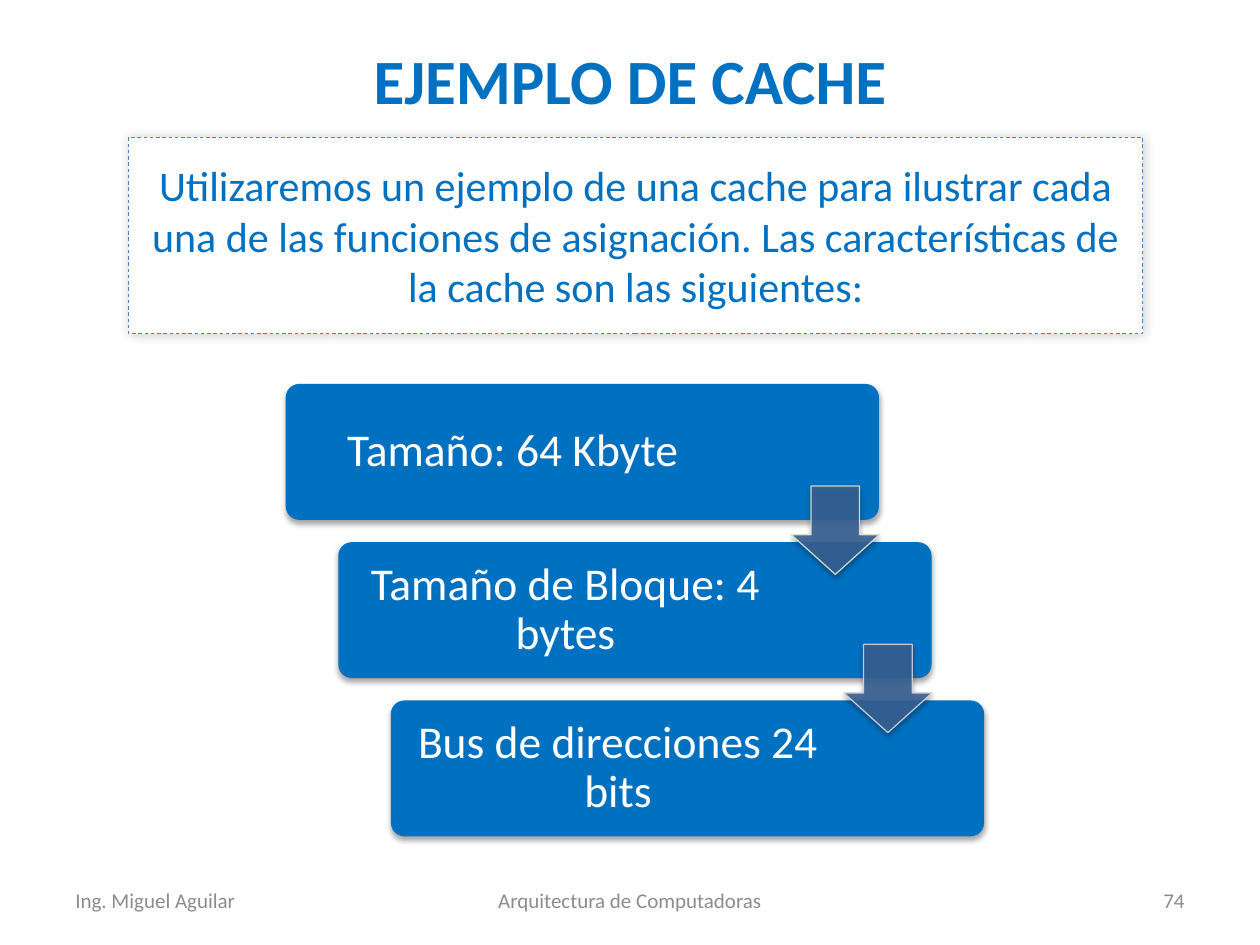
from lxml import etree
from pptx import Presentation
from pptx.dml.color import RGBColor
from pptx.enum.dml import MSO_LINE
from pptx.enum.shapes import MSO_SHAPE
from pptx.enum.text import MSO_ANCHOR, PP_ALIGN
from pptx.oxml.ns import qn
from pptx.util import Cm, Pt

RECTANGLE = MSO_SHAPE.RECTANGLE
ROUNDED = MSO_SHAPE.ROUNDED_RECTANGLE
DOWN_ARROW = MSO_SHAPE.DOWN_ARROW
DASH = MSO_LINE.DASH
MIDDLE = MSO_ANCHOR.MIDDLE
LEFT, CENTER, RIGHT = PP_ALIGN.LEFT, PP_ALIGN.CENTER, PP_ALIGN.RIGHT

BLUE = RGBColor(0x00, 0x70, 0xC0)
NAVY = RGBColor(0x37, 0x60, 0x92)
BORDER = RGBColor(0x4F, 0x81, 0xBD)
PALE_GREEN = RGBColor(0xDE, 0xE7, 0xD1)
PALE_VIOLET = RGBColor(0xD8, 0xD3, 0xE0)
WHITE = RGBColor(0xFF, 0xFF, 0xFF)
GRAY = RGBColor(0x8C, 0x8C, 0x8C)

SOFT_SHADOW = (20, 6, 0, 315)
DROP_SHADOW = (35, 3.1, 1.8, 90)


class CacheSlide:
    font_name = "Calibri"

    def __init__(self, presentation):
        self.slide = presentation.slides.add_slide(presentation.slide_layouts[5])

    def set_text(self, frame, text, size, color, align=CENTER, bold=False):
        frame.word_wrap = True
        frame.vertical_anchor = MIDDLE
        frame.text = text
        paragraph = frame.paragraphs[0]
        paragraph.alignment = align
        font = paragraph.font
        font.name = self.font_name
        font.size = Pt(size)
        font.bold = bold
        font.color.rgb = color
        return paragraph

    def title(self, text):
        heading = self.slide.shapes.title
        heading.left, heading.top = Cm(1.27), Cm(0)
        heading.width, heading.height = Cm(22.86), Cm(3.18)
        self.set_text(heading.text_frame, text, 36, BLUE, bold=True)

    def text(self, text, left, top, width, height, size, color, align=CENTER):
        box = self.slide.shapes.add_textbox(Cm(left), Cm(top), Cm(width), Cm(height))
        return box.text_frame, self.set_text(box.text_frame, text, size, color, align)

    def label(self, text, left, top):
        frame, paragraph = self.text(text, left, top, 9, 2.57, 26, WHITE)
        frame.margin_left = frame.margin_right = Cm(0.28)
        frame.margin_top = frame.margin_bottom = Cm(0.28)
        paragraph.line_spacing = 0.9

    def shape(self, kind, left, top, width, height, fill, shadow, adjustments=()):
        shape = self.slide.shapes.add_shape(
            kind, Cm(left), Cm(top), Cm(width), Cm(height))
        for index, value in enumerate(adjustments):
            shape.adjustments[index] = value
        shape.fill.solid()
        shape.fill.fore_color.rgb = fill
        shape.line.fill.background()
        self.cast_shadow(shape, *shadow)
        return shape

    def outline(self, shape, color, width):
        shape.line.color.rgb = color
        shape.line.width = Pt(width)

    def cast_shadow(self, shape, opacity, blur, distance, angle):
        shape.shadow.inherit = False
        effects = shape._element.spPr.find(qn("a:effectLst"))
        outer = etree.SubElement(
            effects, qn("a:outerShdw"), blurRad=str(Pt(blur)),
            dist=str(Pt(distance)), dir=str(angle * 60000), rotWithShape="0")
        black = etree.SubElement(outer, qn("a:srgbClr"), val="000000")
        etree.SubElement(black, qn("a:alpha"), val=str(opacity * 1000))

    def intro(self, text):
        panel = self.shape(RECTANGLE, 2.59, 2.77, 20.45, 3.96, WHITE, SOFT_SHADOW)
        self.outline(panel, BORDER, 0.5)
        panel.line.dash_style = DASH
        self.set_text(panel.text_frame, text, 24, BLUE)

    def card(self, text, left, top):
        self.shape(ROUNDED, left, top, 11.96, 2.74, BLUE, DROP_SHADOW, [0.1])
        self.label(text, left + 0.08, top + 0.08)

    def arrow(self, left, top, border):
        arrow = self.shape(DOWN_ARROW, left, top, 1.78, 1.78, NAVY,
                           DROP_SHADOW, [0.45, 0.55])
        arrow.adjustments[0], arrow.adjustments[1] = 0.55, 0.45
        self.outline(arrow, border, 0.75)
        for color in arrow._element.spPr.iterfind(".//" + qn("a:solidFill") + "/*"):
            etree.SubElement(color, qn("a:alpha"), val="90000")

    def footer(self, text, left, width, align):
        self.text(text, left, 17.65, width, 1.01, 12, GRAY, align)


def main():
    presentation = Presentation()
    presentation.slide_width, presentation.slide_height = Cm(25.4), Cm(19.05)
    page = CacheSlide(presentation)

    page.title("EJEMPLO DE CACHE")
    page.footer("Ing. Miguel Aguilar", 1.27, 5.93, LEFT)
    page.footer("Arquitectura de Computadoras", 8.68, 8.04, CENTER)
    page.footer("74", 18.2, 5.93, RIGHT)
    page.intro("Utilizaremos un ejemplo de una cache para ilustrar cada una de las "
               "funciones de asignación. Las características de la cache son las "
               "siguientes:")

    step_x, step_y = 1.06, 3.19
    features = ["Tamaño: 64 Kbyte", "Tamaño de Bloque: 4 bytes",
                "Bus de direcciones 24 bits"]
    for index, feature in enumerate(features):
        page.card(feature, 5.76 + index * step_x, 7.74 + index * step_y)
    for index, border in enumerate([PALE_GREEN, PALE_VIOLET]):
        page.arrow(15.95 + index * step_x, 9.8 + index * step_y, border)

    presentation.save("out.pptx")


if __name__ == "__main__":
    main()
